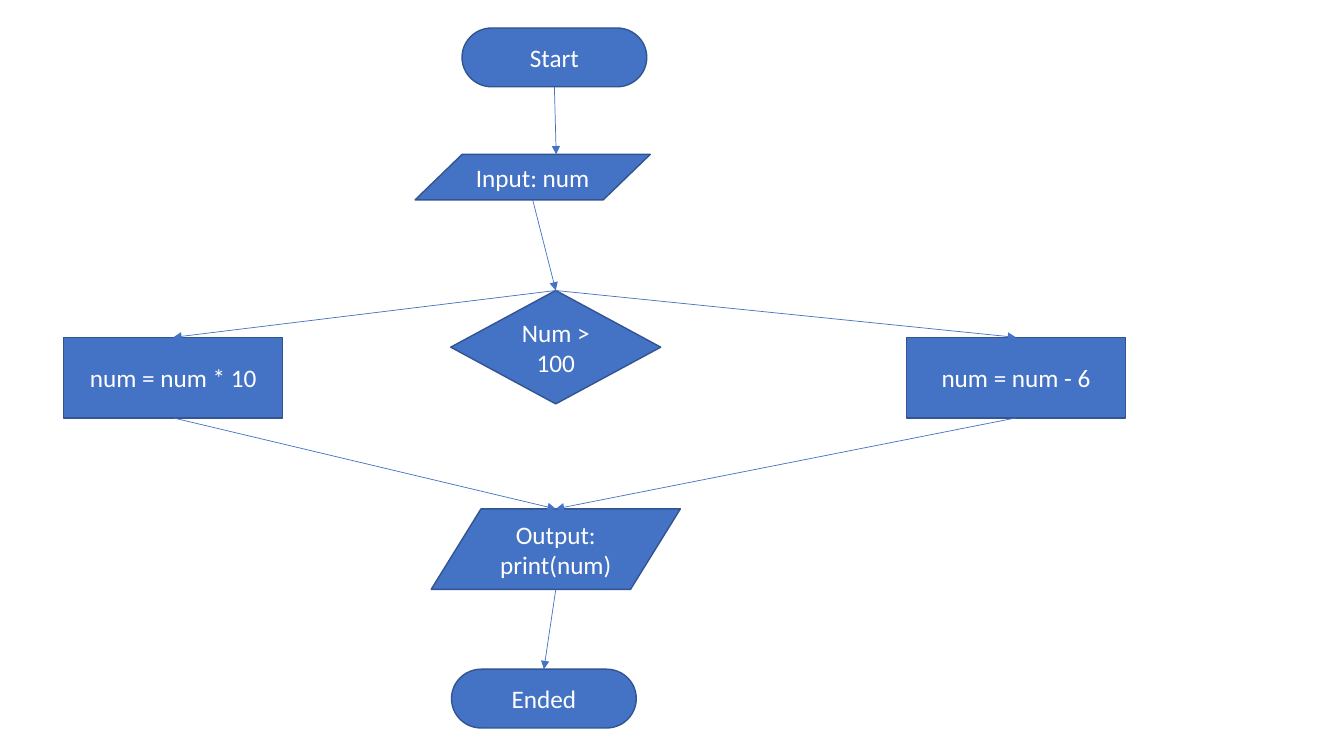
from lxml import etree
from pptx import Presentation
from pptx.dml.color import RGBColor
from pptx.enum import shapes, text
from pptx.oxml.ns import qn
from pptx.util import Pt

KIND = shapes.MSO_SHAPE
COLORS = {"fill": "4472C4", "edge": "325491", "text": "FFFFFF"}
TOP, BOTTOM = 0, 2

# name: (kind, label, left, top, width, height)
STEPS = {
    "start": (KIND.FLOWCHART_TERMINATOR, "Start", 330, 20, 132, 42),
    "input": (KIND.FLOWCHART_DATA, "Input: num", 296.5, 110.25, 168, 32.5),
    "test": (KIND.FLOWCHART_DECISION, "Num > 100", 322, 207.5, 150, 81),
    "minus": (KIND.FLOWCHART_PROCESS, "num = num - 6", 647.5, 241, 156.5, 57.5),
    "times": (KIND.FLOWCHART_PROCESS, "num = num * 10", 45.5, 241, 156.5, 57.5),
    "output": (KIND.FLOWCHART_DATA, "Output: print(num)", 308, 363.5, 178, 57.5),
    "end": (KIND.FLOWCHART_TERMINATOR, "Ended", 322.5, 478, 132, 42),
}

# from, side, to, share of the target's width where the arrow lands
ARROWS = [
    ("start", BOTTOM, "input", 0.6),
    ("input", BOTTOM, "test", 0.5),
    ("test", TOP, "times", 0.5),
    ("test", TOP, "minus", 0.5),
    ("times", BOTTOM, "output", 0.5),
    ("minus", BOTTOM, "output", 0.5),
    ("output", BOTTOM, "end", 0.5),
]


def color(name):
    return RGBColor.from_string(COLORS[name])


def add_step(slide, kind, label, *box):
    shape = slide.shapes.add_shape(kind, *map(Pt, box))
    shape.shadow.inherit = False
    shape.fill.solid()
    shape.fill.fore_color.rgb = color("fill")
    shape.line.color.rgb = color("edge")
    shape.line.width = Pt(1)
    frame = shape.text_frame
    frame.word_wrap = True
    frame.vertical_anchor = text.MSO_ANCHOR.MIDDLE
    frame.text = label
    para = frame.paragraphs[0]
    para.alignment = text.PP_ALIGN.CENTER
    font = para.runs[0].font
    for key, value in {"name": "Calibri", "size": Pt(18)}.items():
        setattr(font, key, value)
    font.color.rgb = color("text")
    return shape


def spot(name, side, share=0.5):
    """Point on the top or bottom side of a step."""
    left, top, width, height = STEPS[name][2:]
    return Pt(left + width * share), Pt(top + (height if side == BOTTOM else 0))


def add_arrow(slide, nodes, source, side, target, share):
    line = slide.shapes.add_connector(
        shapes.MSO_CONNECTOR.STRAIGHT, *spot(source, side), *spot(target, TOP, share))
    # A slanted data box has other connection sites, so its ends stay free.
    if STEPS[source][0] != KIND.FLOWCHART_DATA:
        line.begin_connect(nodes[source], side)
    if STEPS[target][0] != KIND.FLOWCHART_DATA:
        line.end_connect(nodes[target], TOP)
    line.line.color.rgb = color("fill")
    line.line.width = Pt(0.5)
    etree.SubElement(line.line._get_or_add_ln(), qn("a:tailEnd"), type="triangle")
    etree.SubElement(line._element.spPr, qn("a:effectLst"))


def main():
    deck = Presentation()
    deck.slide_width, deck.slide_height = Pt(960), Pt(540)
    slide = deck.slides.add_slide(deck.slide_layouts[6])
    nodes = {name: add_step(slide, *step) for name, step in STEPS.items()}
    for arrow in ARROWS:
        add_arrow(slide, nodes, *arrow)
    deck.save("out.pptx")


if __name__ == "__main__":
    main()
